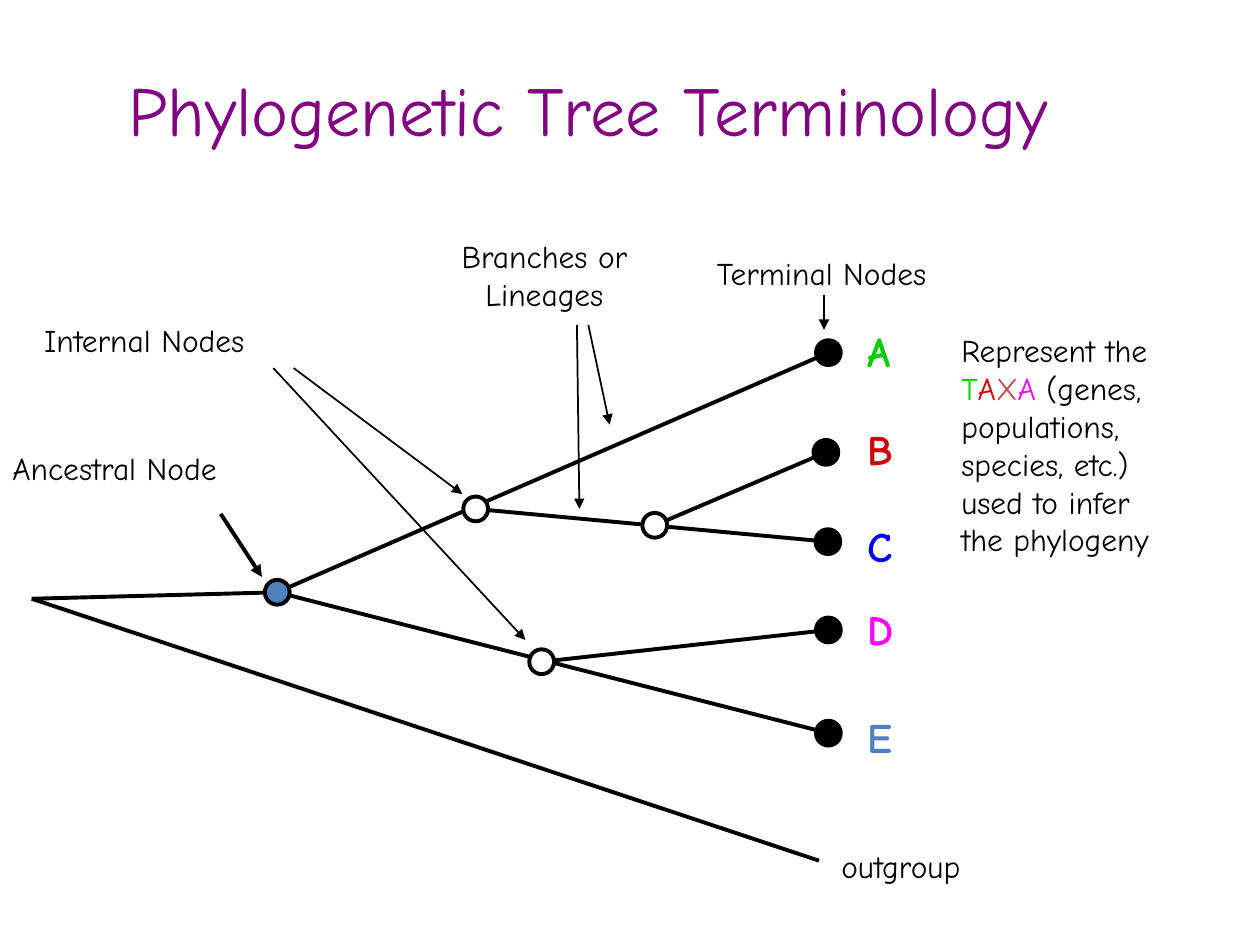
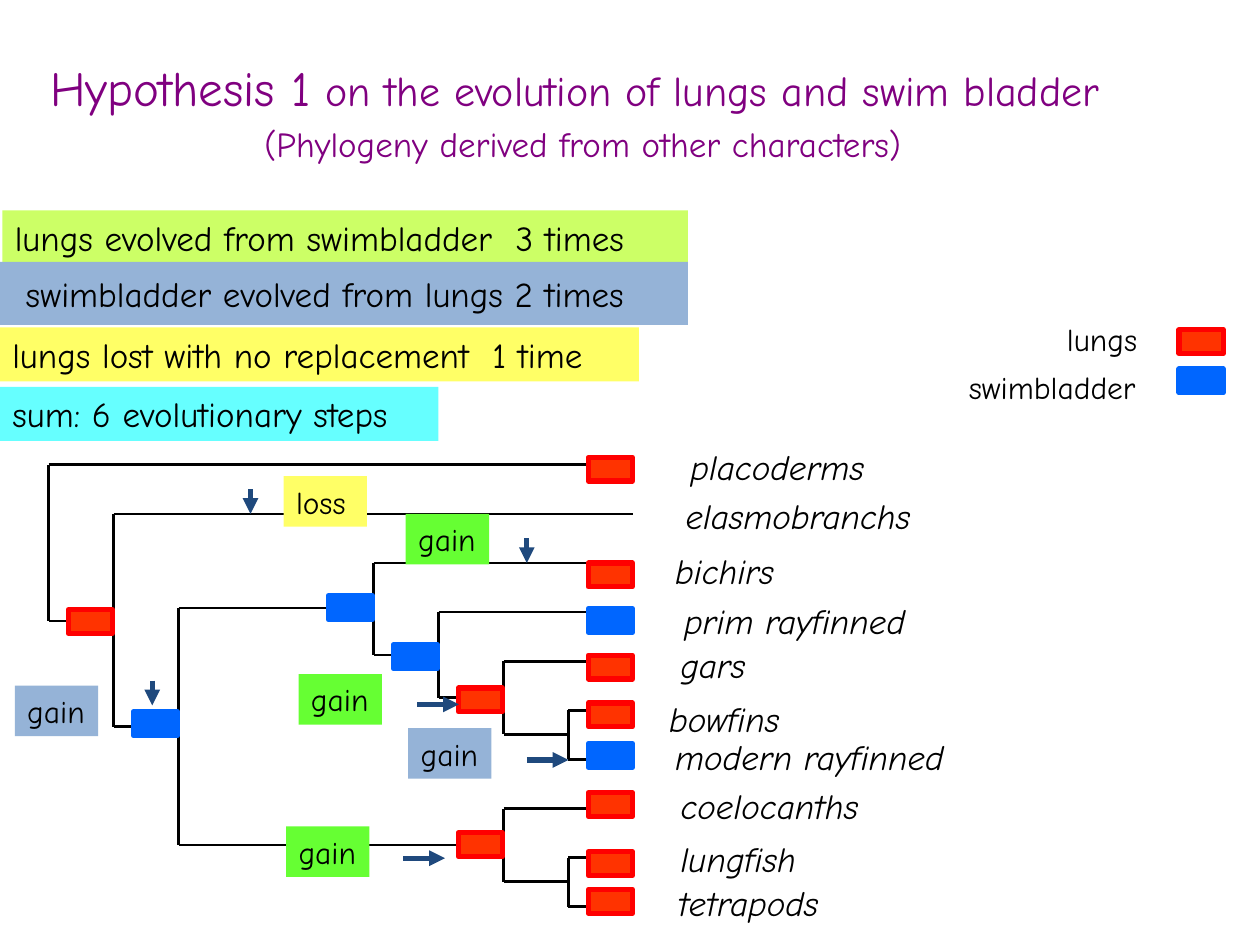
"""Build two slides on phylogenetic trees: terminology and a lung evolution hypothesis."""
from dataclasses import dataclass
from typing import NamedTuple

from pptx import Presentation
from pptx import util as u
from pptx.dml.color import RGBColor
from pptx.enum import shapes, text
from pptx.oxml.ns import qn
from lxml import etree


@dataclass(frozen=True)
class Theme:
    font: str = "Comic Neue"
    black: str = "000000"
    white: str = "FFFFFF"
    purple: str = "800080"
    green: str = "00CC00"
    red: str = "CC0000"
    brick: str = "C0504D"
    blue: str = "0000FF"
    magenta: str = "FF00FF"
    steel: str = "4F81BD"
    navy: str = "1F497D"
    lime: str = "CCFF66"
    leaf: str = "66FF33"
    haze: str = "95B3D7"
    yellow: str = "FFFF66"
    cyan: str = "66FFFF"
    lung_fill: str = "FF3300"
    lung_edge: str = "FF0000"
    bladder: str = "0066FF"
    title: float = 40
    heading: float = 28
    large: float = 24
    medium: float = 20
    small: float = 18
    thick: float = 3
    branch: float = 2.25
    fork: float = 1.5
    thin: float = 1


T = Theme()


class Point(NamedTuple):
    x: float
    y: float


class Box(NamedTuple):
    left: float
    top: float
    width: float
    height: float


class Run(NamedTuple):
    words: str
    size: float = T.small
    color: str = T.black
    bold: bool = False
    italic: bool = False


class Arrow(NamedTuple):
    start: Point
    end: Point
    width: float = T.thin


class Node(NamedTuple):
    center: Point
    fill: str


class Fork(NamedTuple):
    col: float
    top: float
    top_end: float
    bottom: float
    bottom_end: float


class State(NamedTuple):
    col: float
    top: float
    lungs: bool


class Taxon(NamedTuple):
    name: str
    left: float
    top: float


class Event(NamedTuple):
    word: str
    fill: str
    left: float
    top: float
    arrow: Point
    down: bool


class Bar(NamedTuple):
    words: str
    fill: str
    box: Box
    inset: float = 0.25


def rgb(color: str) -> RGBColor:
    return RGBColor.from_string(color)


def cm(values) -> list:
    return [u.Cm(v) for v in values]


def write(sp, paragraphs, align=text.PP_ALIGN.LEFT, anchor=text.MSO_ANCHOR.TOP,
          wrap: bool = True, inset: float = 0.25) -> None:
    tf = sp.text_frame
    tf.auto_size = text.MSO_AUTO_SIZE.NONE
    tf.word_wrap = wrap
    tf.vertical_anchor = anchor
    tf.margin_left, tf.margin_right = u.Cm(inset), u.Cm(min(inset, 0.25))
    tf.margin_top = tf.margin_bottom = u.Cm(0.13 if inset else 0)
    for i, runs in enumerate(paragraphs):
        p = tf.paragraphs[0] if i == 0 else tf.add_paragraph()
        p.alignment = align
        for run in runs:
            r = p.add_run()
            r.text = run.words
            r.font.name, r.font.size = T.font, u.Pt(run.size)
            r.font.bold, r.font.italic = run.bold, run.italic
            r.font.color.rgb = rgb(run.color)


def add_text(s, box: Box, *paragraphs, **options) -> None:
    write(s.shapes.add_textbox(*cm(box)), paragraphs, **options)


def add_title_slide(prs, box: Box, *runs: Run, anchor=text.MSO_ANCHOR.TOP):
    s = prs.slides.add_slide(prs.slide_layouts[5])
    sp = s.shapes.title
    sp.left, sp.top, sp.width, sp.height = cm(box)
    write(sp, [runs], anchor=anchor)
    return s


def add_line(s, start: Point, end: Point, width: float,
             color: str = T.black, arrow: bool = False) -> None:
    c = s.shapes.add_connector(shapes.MSO_CONNECTOR.STRAIGHT, *cm(start + end))
    c.line.color.rgb = rgb(color)
    c.line.width = u.Pt(width)
    props = c._element.spPr
    if arrow:
        etree.SubElement(props.find(qn("a:ln")), qn("a:tailEnd"), type="triangle")
    etree.SubElement(props, qn("a:effectLst"))


def add_shape(s, kind, box: Box, fill: str, edge: str | None = None, width: float = T.thick):
    sp = s.shapes.add_shape(kind, *cm(box))
    sp.shadow.inherit = False
    sp.fill.solid()
    sp.fill.fore_color.rgb = rgb(fill)
    if edge:
        sp.line.color.rgb = rgb(edge)
        sp.line.width = u.Pt(width)
    else:
        sp.line.fill.background()
    return sp


def add_polyline(s, points, width: float) -> None:
    start, *rest = [tuple(cm(p)) for p in points]
    builder = s.shapes.build_freeform(*start)
    builder.add_line_segments(rest, close=False)
    sp = builder.convert_to_shape()
    sp.shadow.inherit = False
    sp.fill.background()
    sp.line.color.rgb = rgb(T.black)
    sp.line.width = u.Pt(width)


NODE_SIZE = 0.5
ROOT, OUTGROUP = Point(0.64, 12.07), Point(16.51, 17.35)
NODES = {
    "ancestor": Node(Point(5.59, 11.94), T.steel),
    "upper": Node(Point(9.59, 10.26), T.white),
    "inner": Node(Point(13.2, 10.59), T.white),
    "lower": Node(Point(10.92, 13.34), T.white),
    "A": Node(Point(16.7, 7.11), T.black),
    "B": Node(Point(16.65, 9.12), T.black),
    "C": Node(Point(16.69, 10.92), T.black),
    "D": Node(Point(16.7, 12.7), T.black),
    "E": Node(Point(16.7, 14.78), T.black),
}
BRANCHES = [("upper", "C"), ("inner", "B"), ("lower", "D")]
POINTERS = [
    Arrow(Point(4.45, 10.36), Point(5.28, 11.63), T.branch),
    Arrow(Point(5.92, 7.42), Point(9.32, 9.96)),
    Arrow(Point(5.51, 7.42), Point(10.59, 12.9)),
    Arrow(Point(11.63, 6.55), Point(11.68, 10.26)),
    Arrow(Point(11.86, 6.55), Point(12.29, 8.56)),
    Arrow(Point(16.61, 5.94), Point(16.61, 6.65)),
]
CAPTIONS = [
    ("Ancestral Node", Box(0, 8.93, 5.9, 1.02)),
    ("Internal Nodes", Box(0.64, 6.35, 8.28, 1.02)),
    ("Terminal Nodes", Box(14.2, 5, 6, 1.02)),
    ("outgroup", Box(16.71, 16.94, 4, 1.02)),
]
LETTERS = [("A", T.green, 6.43), ("B", T.red, 8.41), ("C", T.blue, 10.36),
           ("D", T.magenta, 12.04), ("E", T.steel, 14.22)]


def build_terminology(prs) -> None:
    s = add_title_slide(prs, Box(2.34, 1.22, 21.16, 1.96),
                        Run("Phylogenetic Tree Terminology", T.title, T.purple))
    add_polyline(s, [NODES[n].center for n in ("A", "ancestor", "E")], T.branch)
    for a, b in BRANCHES:
        add_line(s, NODES[a].center, NODES[b].center, T.branch)
    add_line(s, ROOT, NODES["ancestor"].center, T.branch)
    add_line(s, ROOT, OUTGROUP, T.branch)
    for (x, y), fill in NODES.values():
        box = Box(x - NODE_SIZE / 2, y - NODE_SIZE / 2, NODE_SIZE, NODE_SIZE)
        add_shape(s, shapes.MSO_SHAPE.OVAL, box, fill, T.black, T.branch)
    for start, end, width in POINTERS:
        add_line(s, start, end, width, arrow=True)
    for words, box in CAPTIONS:
        add_text(s, box, [Run(words)])
    add_text(s, Box(8.89, 4.65, 4.17, 1.78), [Run("Branches or")], [Run("Lineages")],
             align=text.PP_ALIGN.CENTER)
    for letter, color, top in LETTERS:
        add_text(s, Box(17.23, top, 1.2, 1.27), [Run(letter, T.large, color, bold=True)])
    taxa = [Run(c, color=color) for c, color in
            zip("TAXA", (T.green, T.red, T.brick, T.magenta))]
    rest = ("populations,", "species, etc.)", "used to infer", "the phylogeny")
    add_text(s, Box(19.13, 6.55, 5.5, 4.83), [Run("Represent the")],
             taxa + [Run(" (genes,")], *[[Run(words)] for words in rest])


FORKS = [
    Fork(0, 0, 9, 3.18, 1), Fork(1, 1, 9, 5.33, 2), Fork(2, 2.92, 5, 7.74, 7),
    Fork(5, 2, 9, 3.87, 6), Fork(6, 3, 9, 4.74, 7), Fork(7, 4, 9, 5.49, 8),
    Fork(8, 5, 9, 6, 9), Fork(7, 7, 9, 8.49, 8), Fork(8, 8, 9, 9, 9),
]
STATES = [
    State(9, 9.22, True), State(9, 11.35, True), State(9, 12.27, False),
    State(9, 13.21, True), State(9, 14.17, True), State(9, 14.99, False),
    State(9, 15.98, True), State(9, 17.17, True), State(9, 17.93, True),
    State(1, 12.29, True), State(2, 14.35, False), State(5, 12.01, False),
    State(6, 13, False), State(7, 13.87, True), State(7, 16.79, True),
]
TAXA = [
    Taxon("placoderms", 13.92, 8.99), Taxon("elasmobranchs", 13.82, 9.96),
    Taxon("bichirs", 13.61, 11.07), Taxon("prim rayfinned", 13.79, 12.09),
    Taxon("gars", 13.72, 12.98), Taxon("bowfins", 13.49, 14.07),
    Taxon("modern rayfinned", 13.61, 14.83), Taxon("coelocanths", 13.72, 15.82),
    Taxon("lungfish", 13.72, 16.89), Taxon("tetrapods", 13.67, 17.78),
]
EVENTS = [
    Event("loss", T.yellow, 5.72, 9.6, Point(5.05, 9.86), True),
    Event("gain", T.haze, 8.23, 14.68, Point(10.62, 15.32), False),
    Event("gain", T.haze, 0.3, 13.82, Point(3.07, 13.72), True),
    Event("gain", T.leaf, 8.18, 10.36, Point(10.62, 10.85), True),
    Event("gain", T.leaf, 5.77, 16.66, Point(8.13, 17.3), False),
    Event("gain", T.leaf, 6.02, 13.59, Point(8.41, 14.2), False),
]
BARS = [
    Bar("sum: 6 evolutionary steps", T.cyan, Box(0, 7.8, 8.84, 1.09)),
    Bar("lungs evolved from swimbladder  3 times", T.lime, Box(0.05, 4.24, 13.82, 1.09)),
    Bar("swimbladder evolved from lungs 2 times", T.haze, Box(0, 5.28, 13.87, 1.27), 0.52),
    Bar("lungs lost with no replacement  1 time", T.yellow, Box(0, 6.6, 12.88, 1.09)),
]


def grid(col: float, row: float) -> Point:
    return Point(0.98 + 1.31 * col, 9.37 + 0.99 * row)


def add_state(s, left: float, top: float, lungs: bool) -> None:
    fill, edge = (T.lung_fill, T.lung_edge) if lungs else (T.bladder, T.bladder)
    add_shape(s, shapes.MSO_SHAPE.RECTANGLE, Box(left, top, 0.89, 0.48), fill, edge)


def add_label(s, box: Box, fill: str, run: Run, inset: float = 0.25) -> None:
    sp = add_shape(s, shapes.MSO_SHAPE.RECTANGLE, box, fill)
    write(sp, [[run]], anchor=text.MSO_ANCHOR.MIDDLE, wrap=False, inset=inset)


def build_hypothesis(prs) -> None:
    middle = text.MSO_ANCHOR.MIDDLE
    s = add_title_slide(prs, Box(0.76, 1.02, 24.23, 1.45),
                        Run("Hypothesis 1", T.heading, T.purple),
                        Run(" on the evolution of lungs and swim bladder", T.large, T.purple),
                        anchor=middle)
    add_text(s, Box(5.08, 2.34, 14.6, 1.09),
             [Run("(Phylogeny derived from other characters)", T.medium, T.purple)],
             anchor=middle)
    for col, top, top_end, bottom, bottom_end in FORKS:
        add_line(s, grid(col, top), grid(top_end, top), T.fork)
        add_line(s, grid(col, bottom), grid(bottom_end, bottom), T.fork)
        add_line(s, grid(col, top), grid(col, bottom), T.fork)
    for name, left, top in TAXA:
        add_text(s, Box(left, top, 7, 0.84), [Run(name, T.medium, italic=True)], inset=0)
    for col, top, lungs in STATES:
        add_state(s, grid(col, 0).x - 0.91, top, lungs)
    for word, fill, left, top, (x, y), down in EVENTS:
        end = Point(x, y + 0.5) if down else Point(x + 0.84, y)
        add_line(s, Point(x, y), end, T.thick, T.navy, arrow=True)
        add_label(s, Box(left, top, 1.68, 1.02), fill, Run(word))
    for words, fill, box, inset in BARS:
        add_label(s, box, fill, Run(words, T.medium), inset)
    add_state(s, 23.77, 6.65, True)
    add_state(s, 23.77, 7.44, False)
    add_text(s, Box(21.26, 6.32, 2.4, 1.02), [Run("lungs")], anchor=middle)
    add_text(s, Box(19.28, 7.29, 5.05, 1.02), [Run("swimbladder")], anchor=middle)


def main() -> None:
    prs = Presentation()
    prs.slide_width, prs.slide_height = u.Cm(25.4), u.Cm(19.05)
    build_terminology(prs)
    build_hypothesis(prs)
    prs.save("out.pptx")


if __name__ == "__main__":
    main()
